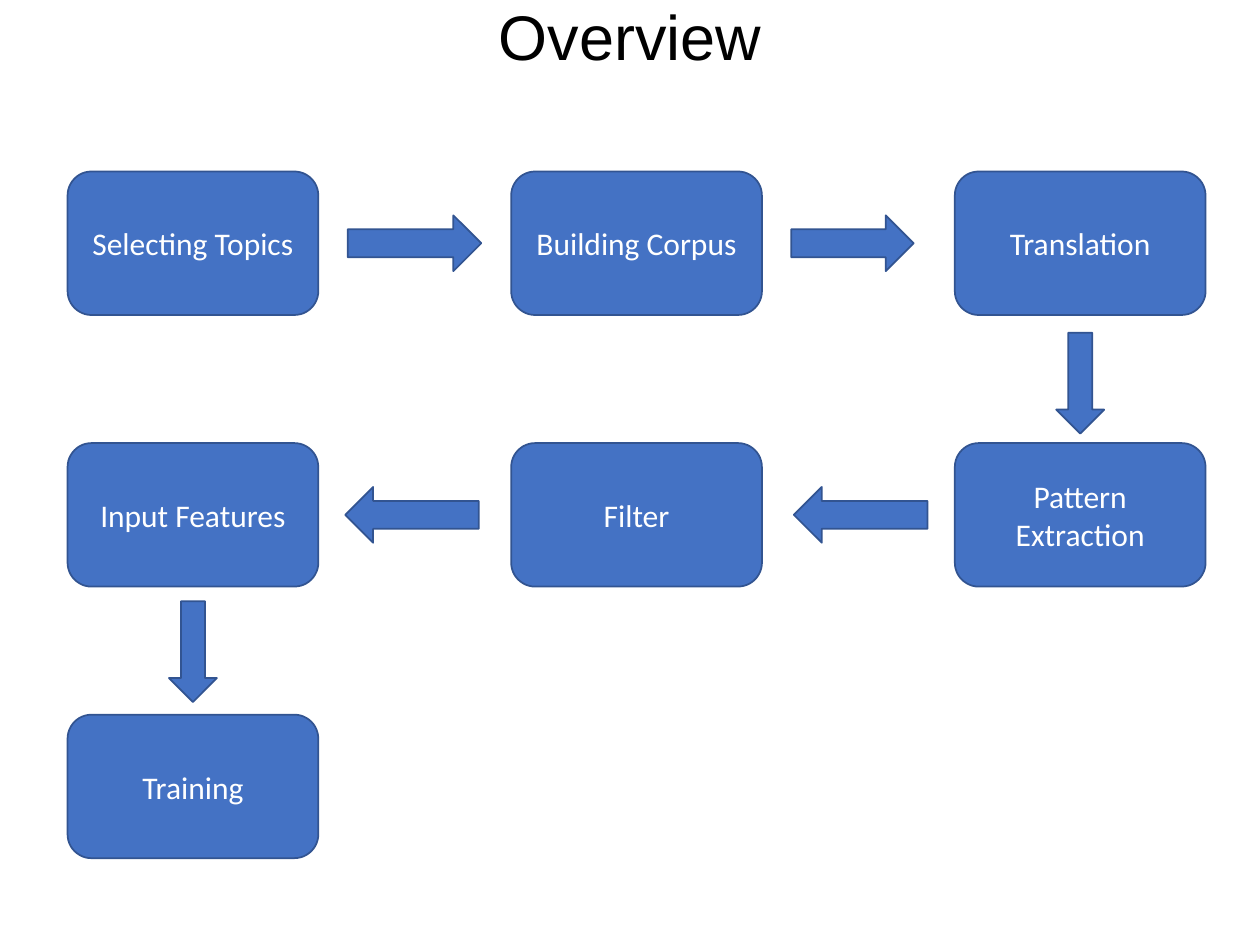
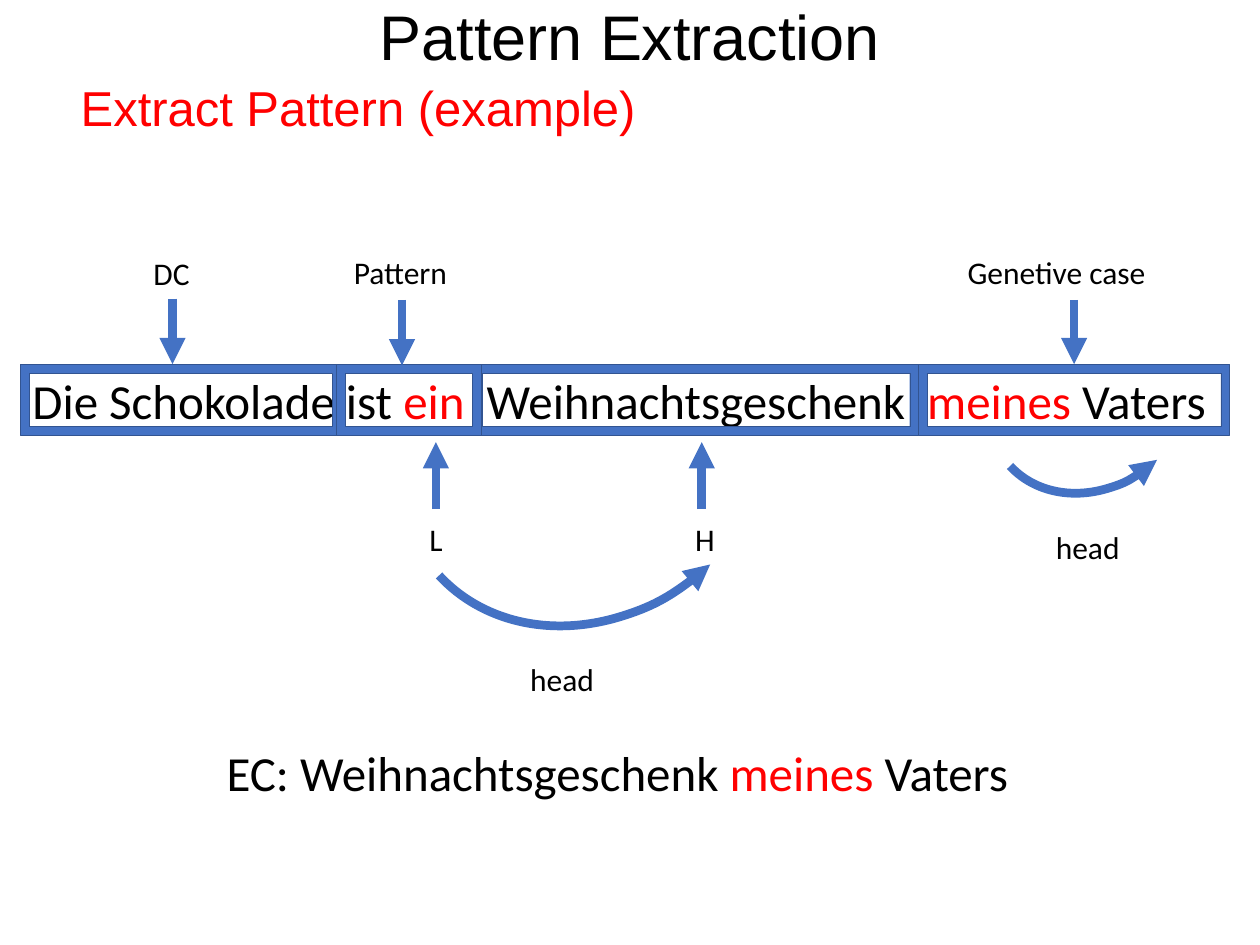
from dataclasses import dataclass
from typing import NamedTuple

from lxml import etree
from pptx import Presentation
from pptx.dml.color import RGBColor
from pptx.enum.shapes import MSO_CONNECTOR, MSO_SHAPE
from pptx.enum.text import MSO_ANCHOR, MSO_AUTO_SIZE, PP_ALIGN
from pptx.oxml.ns import qn
from pptx.util import Pt

ROUNDED, ARROW = MSO_SHAPE.ROUNDED_RECTANGLE, MSO_SHAPE.RIGHT_ARROW
FRAME, ARC = MSO_SHAPE.FRAME, MSO_SHAPE.ARC
STRAIGHT = MSO_CONNECTOR.STRAIGHT
TOP, MIDDLE = MSO_ANCHOR.TOP, MSO_ANCHOR.MIDDLE
LEFT, CENTER = PP_ALIGN.LEFT, PP_ALIGN.CENTER
NO_FIT, GROW = MSO_AUTO_SIZE.NONE, MSO_AUTO_SIZE.SHAPE_TO_FIT_TEXT
TOP_SITE = 0


@dataclass(frozen=True)
class Theme:
    blue: RGBColor = RGBColor(0x44, 0x72, 0xC4)
    outline: RGBColor = RGBColor(0x32, 0x54, 0x91)
    black: RGBColor = RGBColor(0, 0, 0)
    white: RGBColor = RGBColor(255, 255, 255)
    red: RGBColor = RGBColor(255, 0, 0)
    heading_font: str = "Arial"
    text_font: str = "Calibri"
    title_size: float = 36
    large_size: float = 28
    label_size: float = 18
    thin: float = 1
    hairline: float = 0.2
    thick: float = 5


THEME = Theme()


class Area(NamedTuple):
    left: float
    top: float
    width: float
    height: float


class Span(NamedTuple):
    text: str
    color: RGBColor = THEME.black
    spacing: float = 0


class Step(NamedTuple):
    text: str
    column: int
    row: int


class FlowArrow(NamedTuple):
    center_x: float
    center_y: float
    length: float
    breadth: float
    turn: float


class Label(NamedTuple):
    text: str
    left: float
    top: float
    width: float


class Pointer(NamedTuple):
    x: float
    start: float
    end: float


# Shared layout
TITLE_AREA = Area(0, 0.7, 720, 44)
SUBTITLE_AREA = Area(38.9, 44.6, 681.1, 33.8)

# Overview grid
GRID_LEFT, GRID_TOP = 38.6, 98
COLUMN_STEP, ROW_STEP = 253.5, 155.2
STEP_WIDTH, STEP_HEIGHT = 143.3, 82
ROW_CENTERS = [GRID_TOP + STEP_HEIGHT / 2 + row * ROW_STEP for row in range(2)]
COLUMN_CENTERS = [GRID_LEFT + STEP_WIDTH / 2 + column * COLUMN_STEP
                  for column in range(3)]

STEPS = (
    Step("Selecting Topics", 0, 0),
    Step("Building Corpus", 1, 0),
    Step("Translation", 2, 0),
    Step("Pattern Extraction", 2, 1),
    Step("Filter", 1, 1),
    Step("Input Features", 0, 1),
    Step("Training", 0, 2),
)
FLOW_ARROWS = (
    FlowArrow(236.9, ROW_CENTERS[0], 76.3, 31.9, 0),
    FlowArrow(487.1, ROW_CENTERS[0], 70, 31.9, 0),
    FlowArrow(COLUMN_CENTERS[2], 219, 57.6, 27.4, 90),
    FlowArrow(491.8, ROW_CENTERS[1], 76.3, 31.9, 180),
    FlowArrow(235.4, ROW_CENTERS[1], 76.3, 31.9, 180),
    FlowArrow(COLUMN_CENTERS[0], 372.4, 57.6, 27.4, 90),
)

# Example sentence
SENTENCE_TOP, FRAME_HEIGHT, LABEL_HEIGHT, LARGE_HEIGHT = 208.1, 40.5, 28.8, 41
WIDE_GAP = Span(" ", spacing=6.3)
SENTENCE = (
    Span("Die Schokolade ist "), Span("ein", THEME.red), WIDE_GAP,
    Span("Weihnachtsgeschenk"), WIDE_GAP,
    Span("meines ", THEME.red), Span("Vaters"),
)
CONCLUSION = (
    Span("EC: Weihnachtsgeschenk "), Span("meines ", THEME.red), Span("Vaters"),
)
WORD_FRAMES = ((11.5, 183.6), (270.7, 254.2), (192.2, 82.8), (524.9, 177.8))
LABELS = (
    Label("DC", 80.6, 141.8, 35.3),
    Label("Pattern", 195.1, 141.1, 68.4),
    Label("Genetive case", 545.8, 141.1, 117.4),
    Label("L", 238.3, 293.8, 22.3),
    Label("H", 390.2, 293.8, 25.9),
    Label("head", 295.9, 373.7, 51.8),
    Label("head", 596.2, 298.1, 51.8),
)
POINTERS = (
    Pointer(98.6, 170.6, 208.1),
    Pointer(229.7, 171.4, 208.8),
    Pointer(249.1, 290.9, 252.7),
    Pointer(401, 290.9, 252.7),
)
GENITIVE_POINTER = Pointer(613.8, 171.4, 208.1)
HEAD_ARCS = (Area(219.6, 148.3, 236.2, 200.9), Area(560.2, 168.5, 128.2, 108.7))
ARC_TURN = 137.3


def apply_format(target, values: dict) -> None:
    for name, value in values.items():
        setattr(target, name, value)


def points(area: Area) -> list:
    return [Pt(value) for value in area]


def write_spans(para, spans, size: float, font: str) -> None:
    for span in spans:
        run = para.add_run()
        run.text = span.text
        apply_format(run.font, {"size": Pt(size), "name": font})
        run.font.color.rgb = span.color
        if span.spacing:
            run.font._element.set("spc", str(round(span.spacing * 100)))


def fill_placeholder(holder, area: Area, span: Span, size: float,
                     anchor, para_format: dict):
    apply_format(holder, dict(zip(("left", "top", "width", "height"), points(area))))
    apply_format(holder.text_frame, {"vertical_anchor": anchor, "auto_size": NO_FIT,
                                     "word_wrap": True})
    para = holder.text_frame.paragraphs[0]
    apply_format(para, {"line_spacing": 0.9, **para_format})
    write_spans(para, [span], size, THEME.heading_font)
    return para


def add_page(deck, layout: int, title: str):
    page = deck.slides.add_slide(deck.slide_layouts[layout])
    fill_placeholder(page.shapes.title, TITLE_AREA, Span(title), THEME.title_size,
                     MIDDLE, {"alignment": CENTER, "space_before": Pt(0)})
    return page


def add_blue_shape(page, kind, area: Area, line_width: float = THEME.thin):
    shape = page.shapes.add_shape(kind, *points(area))
    shape.shadow.inherit = False
    shape.fill.solid()
    shape.fill.fore_color.rgb = THEME.blue
    shape.line.color.rgb = THEME.outline
    shape.line.width = Pt(line_width)
    return shape


def add_step(page, step: Step) -> None:
    box = add_blue_shape(page, ROUNDED, Area(
        GRID_LEFT + step.column * COLUMN_STEP, GRID_TOP + step.row * ROW_STEP,
        STEP_WIDTH, STEP_HEIGHT))
    apply_format(box.text_frame, {"word_wrap": True, "vertical_anchor": MIDDLE})
    para = box.text_frame.paragraphs[0]
    para.alignment = CENTER
    write_spans(para, [Span(step.text, THEME.white)], THEME.label_size, THEME.text_font)


def add_flow_arrow(page, arrow: FlowArrow) -> None:
    shape = add_blue_shape(page, ARROW, Area(
        arrow.center_x - arrow.length / 2, arrow.center_y - arrow.breadth / 2,
        arrow.length, arrow.breadth))
    shape.rotation = arrow.turn


def add_text(page, area: Area, spans, size: float, wrap: bool = False) -> None:
    box = page.shapes.add_textbox(*points(area))
    apply_format(box.text_frame, {"word_wrap": wrap, "auto_size": GROW})
    write_spans(box.text_frame.paragraphs[0], spans, size, THEME.text_font)


def style_stroke(shape, arrow_end: str) -> None:
    shape.line.color.rgb = THEME.blue
    shape.line.width = Pt(THEME.thick)
    stroke = shape.line._get_or_add_ln()
    etree.SubElement(stroke, qn(f"a:{arrow_end}")).set("type", "triangle")


def add_pointer(page, pointer: Pointer):
    line = page.shapes.add_connector(STRAIGHT, Pt(pointer.x), Pt(pointer.start),
                                     Pt(pointer.x), Pt(pointer.end))
    style_stroke(line, "tailEnd")
    etree.SubElement(line._element.spPr, qn("a:effectLst"))
    return line


def add_head_arc(page, area: Area) -> None:
    arc = page.shapes.add_shape(ARC, *points(area))
    arc.rotation = ARC_TURN
    arc.fill.background()
    style_stroke(arc, "headEnd")
    arc.shadow.inherit = False


def build_overview(deck) -> None:
    page = add_page(deck, 5, "Overview")
    for step in STEPS:
        add_step(page, step)
    for arrow in FLOW_ARROWS:
        add_flow_arrow(page, arrow)


def build_pattern_extraction(deck) -> None:
    page = add_page(deck, 1, "Pattern Extraction")
    para = fill_placeholder(page.placeholders[1], SUBTITLE_AREA,
                            Span("Extract Pattern (example)", THEME.red),
                            THEME.large_size, TOP,
                            {"alignment": LEFT, "space_before": Pt(10)})
    # Hanging indent without a bullet
    props = para._p.get_or_add_pPr()
    props.set("marL", str(Pt(18)))
    props.set("indent", str(-Pt(18)))
    etree.SubElement(props, qn("a:buNone"))

    # Sentence with a frame around each part
    add_text(page, Area(11.5, SENTENCE_TOP, 701.3, LARGE_HEIGHT), SENTENCE,
             THEME.large_size, wrap=True)
    frames = [add_blue_shape(page, FRAME, Area(left, SENTENCE_TOP, width, FRAME_HEIGHT),
                             THEME.hairline) for left, width in WORD_FRAMES]

    # Labels, pointers and head relations
    for label in LABELS:
        add_text(page, Area(label.left, label.top, label.width, LABEL_HEIGHT),
                 [Span(label.text)], THEME.label_size)
    for pointer in POINTERS:
        add_pointer(page, pointer)
    add_pointer(page, GENITIVE_POINTER).end_connect(frames[-1], TOP_SITE)
    for area in HEAD_ARCS:
        add_head_arc(page, area)

    add_text(page, Area(122.4, 420.5, 472.3, LARGE_HEIGHT), CONCLUSION,
             THEME.large_size)


def main() -> None:
    deck = Presentation()
    apply_format(deck, {"slide_width": Pt(720), "slide_height": Pt(540)})
    build_overview(deck)
    build_pattern_extraction(deck)
    deck.save("out.pptx")


if __name__ == "__main__":
    main()
